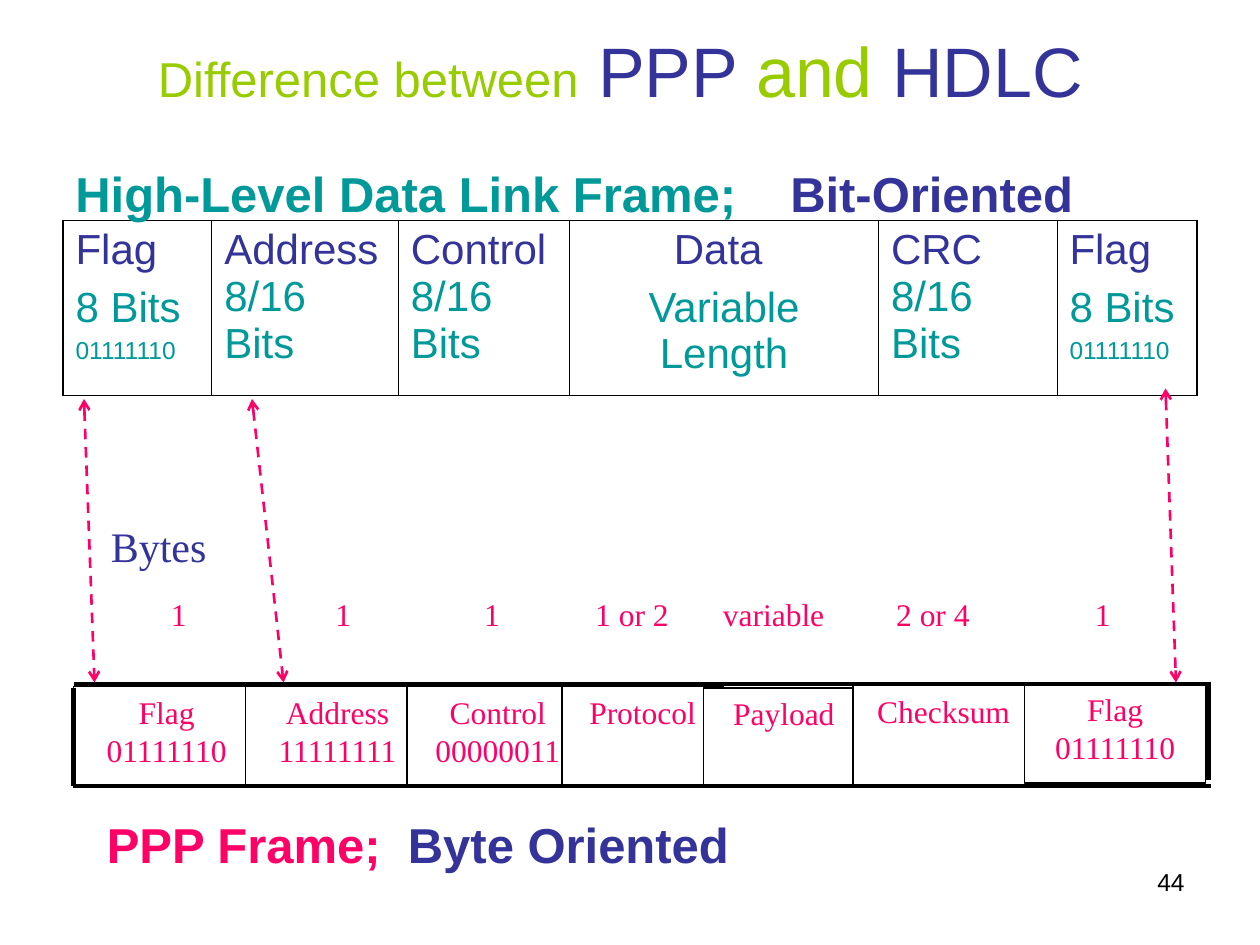
from lxml import etree
from pptx import Presentation
from pptx.dml.color import RGBColor
from pptx.enum.dml import MSO_LINE
from pptx.enum.shapes import MSO_CONNECTOR, MSO_SHAPE
from pptx.enum.text import MSO_ANCHOR, PP_ALIGN
from pptx.oxml.ns import qn
from pptx.util import Pt

LEFT, CENTER, RIGHT = PP_ALIGN.LEFT, PP_ALIGN.CENTER, PP_ALIGN.RIGHT
TOP, MIDDLE = MSO_ANCHOR.TOP, MSO_ANCHOR.MIDDLE
RECTANGLE, STRAIGHT, DASH = MSO_SHAPE.RECTANGLE, MSO_CONNECTOR.STRAIGHT, MSO_LINE.DASH

BLACK = RGBColor(0x00, 0x00, 0x00)
WHITE = RGBColor(0xFF, 0xFF, 0xFF)
GREEN = RGBColor(0x99, 0xCC, 0x00)
INDIGO = RGBColor(0x33, 0x33, 0x99)
TEAL = RGBColor(0x00, 0x99, 0x99)
PINK = RGBColor(0xFF, 0x00, 0x66)
SANS, SERIF = "Arial", "Times New Roman"


class FrameSlide:
    """Draws the elements of one slide in a shared style, in points."""

    def __init__(self, deck):
        self.page = deck.slides.add_slide(deck.slide_layouts[6])

    def fill_text(self, frame, paras, font=SANS, align=LEFT, anchor=TOP, bold=False, gaps=(), tabs=()):
        frame.word_wrap = True
        frame.vertical_anchor = anchor
        for index, spans in enumerate(paras):
            para = frame.paragraphs[0] if index == 0 else frame.add_paragraph()
            para.alignment = align
            if gaps:
                para.space_before = Pt(gaps[index])
            if tabs:
                stops = etree.SubElement(para._p.get_or_add_pPr(), qn("a:tabLst"))
                for position, kind in tabs:
                    etree.SubElement(stops, qn("a:tab"), pos=str(Pt(position)), algn=kind)
            for text, size, color in spans:
                span = para.add_run()
                span.text = text
                span.font.name = font
                span.font.size = Pt(size)
                span.font.bold = bold
                span.font.color.rgb = color

    def text(self, left, top, width, height, paras, **style):
        box = self.page.shapes.add_textbox(Pt(left), Pt(top), Pt(width), Pt(height))
        self.fill_text(box.text_frame, paras, **style)

    def box(self, left, top, width, height, paras, outlined=True, **style):
        box = self.page.shapes.add_shape(RECTANGLE, Pt(left), Pt(top), Pt(width), Pt(height))
        box.shadow.inherit = False
        box.fill.solid()
        box.fill.fore_color.rgb = WHITE
        if outlined:
            box.line.color.rgb = BLACK
            box.line.width = Pt(0.75)
        else:
            box.line.fill.background()
        self.fill_text(box.text_frame, paras, font=SERIF, **style)

    def line(self, start, end, color, width):
        line = self.page.shapes.add_connector(STRAIGHT, *map(Pt, start + end))
        line.line.color.rgb = color
        line.line.width = Pt(width)
        etree.SubElement(line._element.spPr, qn("a:effectLst"))
        return line

    def double_arrow(self, start, end):
        arrow = self.line(start, end, PINK, 1.5)
        arrow.line.dash_style = DASH
        outline = arrow._element.spPr.find(qn("a:ln"))
        for tag in ("a:headEnd", "a:tailEnd"):
            etree.SubElement(outline, qn(tag), type="arrow")

    def border(self, cell, side, width):
        edge = etree.SubElement(cell._tc.get_or_add_tcPr(), qn("a:ln" + side), w=str(Pt(width)))
        fill = etree.SubElement(edge, qn("a:solidFill"))
        etree.SubElement(fill, qn("a:srgbClr"), val=str(BLACK))

    def table(self, left, top, height, fields):
        total = sum(width for width, _, _ in fields)
        holder = self.page.shapes.add_table(1, len(fields), Pt(left), Pt(top), Pt(total), Pt(height))
        table = holder.table
        table.first_row = table.horz_banding = False
        last = len(fields) - 1
        for index, (width, align, paras) in enumerate(fields):
            table.columns[index].width = Pt(width)
            cell = table.cell(0, index)
            self.border(cell, "L", 1.08 if index == 0 else 0.45)
            self.border(cell, "R", 1.08 if index == last else 0.45)
            self.border(cell, "T", 1.08)
            self.border(cell, "B", 1.08)
            cell.fill.background()
            self.fill_text(cell.text_frame, paras, align=align, gaps=(6, 6, 3.5))


def main():
    deck = Presentation()
    deck.slide_width, deck.slide_height = Pt(720), Pt(540)
    slide = FrameSlide(deck)

    title = [("Difference between", 28, GREEN), (" ", 40, BLACK), ("PPP ", 40, INDIGO),
             ("and ", 40, GREEN), ("HDLC ", 40, INDIGO)]
    slide.text(36, 12, 648, 56, [title], align=CENTER, anchor=MIDDLE)

    flag = [[("Flag", 24, INDIGO)], [("8 Bits", 24, TEAL)], [("01111110", 14, TEAL)]]
    address, control, crc = ([[(name, 24, INDIGO), ("8/16 Bits", 24, TEAL)]]
                             for name in ("Address ", "Control ", "CRC "))
    data = [[("Data ", 24, INDIGO)], [("Variable Length", 24, TEAL)]]
    slide.table(36, 126, 100, [
        (85, LEFT, flag), (106.6, LEFT, address), (98, LEFT, control),
        (176.4, CENTER, data), (102, LEFT, crc), (80, LEFT, flag)])
    slide.text(36, 90, 630, 41,
               [[("High-Level Data Link Frame;", 28, TEAL), ("\tBit-Oriented", 28, INDIGO)]],
               bold=True, tabs=[(408.5, "l")])

    ppp_fields = [
        (42, 392.4, 106.5, ("Flag", "01111110")),
        (140.4, 392.4, 105, ("Address", "11111111")),
        (232.6, 392.4, 103.7, ("Control", "00000011")),
        (321.1, 392.4, 92.2, ("Protocol",)),
        (401.8, 393.1, 92.2, ("Payload",)),
        (487.4, 391.7, 103.7, ("Checksum",)),
        (585.4, 391, 103.7, ("Flag", "01111110"))]
    for left, top, width, words in ppp_fields:
        slide.box(left, top, width, 56.5, [[(word, 18, PINK)] for word in words], align=CENTER)
    for start, end, width in [((42, 449.3), (692, 449.3), 2.25), ((42.5, 391), (692, 391), 2.25),
                              ((42, 393), (42, 449.3), 3), ((690.5, 389.5), (690.5, 445.7), 3)]:
        slide.line(start, end, BLACK, width)

    sizes = ("1", "1", "1", "1 or 2", "variable", "2 or 4", "1")
    centers = (53, 147, 232, 312, 393, 484, 581)
    slide.box(42, 336.2, 649.4, 42.5, [[("\t" + size, 18, PINK) for size in sizes]],
              outlined=False, align=LEFT, tabs=[(center, "ctr") for center in centers])
    slide.box(56.2, 293.8, 85, 42.5, [[("Bytes", 24, INDIGO)]], outlined=False)
    slide.text(54, 462, 630, 41, [[("PPP Frame;", 28, PINK), ("\tByte Oriented", 28, INDIGO)]],
               bold=True, tabs=[(172, "l")])

    for start, end in [((48, 228), (54, 390)), ((144, 228), (162, 390)), ((666, 222), (672, 390))]:
        slide.double_arrow(start, end)
    slide.text(516, 492, 168, 37.5, [[("44", 14, BLACK)]], align=RIGHT)
    deck.save("out.pptx")


if __name__ == "__main__":
    main()
